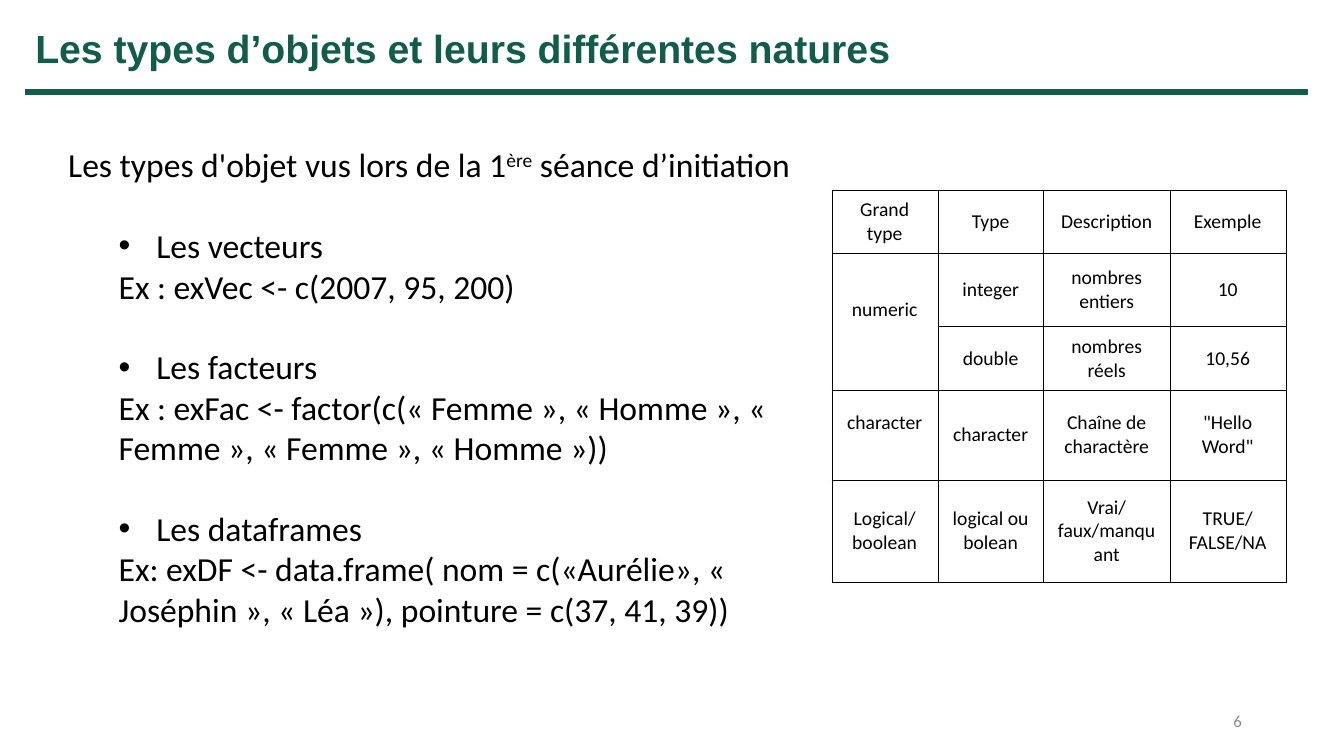
from lxml.etree import SubElement
from pptx import Presentation
from pptx.dml.color import RGBColor
from pptx.enum.shapes import MSO_SHAPE
from pptx.enum.text import MSO_ANCHOR as Anchor, PP_ALIGN as Align
from pptx.oxml.ns import qn
from pptx.util import Cm, Pt

COLORS = {"green": "125D4A", "black": "000000", "grey": "8C8C8C"}

TITLE = "Les types d’objets et leurs différentes natures"
PAGE_NUMBER = "6"
INTRO = [("Les types d'objet vus lors de la 1", 0), ("ère", 30), (" séance d’initiation", 0)]
OBJECT_TYPES = [
    ("Les vecteurs", "Ex : exVec <- c(2007, 95, 200)"),
    ("Les facteurs",
     "Ex : exFac <- factor(c(« Femme », « Homme », « Femme », « Femme », « Homme »))"),
    ("Les dataframes",
     "Ex: exDF <- data.frame( nom = c(«Aurélie», « Joséphin », « Léa »), "
     "pointure = c(37, 41, 39))"),
]
NATURES = [
    ("Grand type", "Type", "Description", "Exemple"),
    ("numeric", "integer", "nombres entiers", "10"),
    ("", "double", "nombres réels", "10,56"),
    ("character", "character", "Chaîne de charactère", '"Hello Word"'),
    ("Logical/boolean", "logical ou bolean", "Vrai/ faux/manquant", "TRUE/FALSE/NA"),
]
COLUMN_WIDTHS = [2.67, 2.67, 3.18, 2.92]
ROW_HEIGHTS = [1.6, 1.85, 1.6, 2.26, 2.59]
RAISED_LABELS = [(1, 0), (3, 0)]

BLANK_LINE = Pt(29)
TEXT_INDENT = Cm(1.27)
BULLET_HANG = Cm(0.95)


def add_run(paragraph, text, size, color="black", font="Calibri", bold=False):
    run = paragraph.add_run()
    run.text = text
    run.font.size = Pt(size)
    run.font.name = font
    run.font.bold = bold
    run.font.color.rgb = RGBColor.from_string(COLORS[color])
    return run


def add_text_frame(slide, left, top, width, height, wrap=True):
    frame = slide.shapes.add_textbox(Cm(left), Cm(top), Cm(width), Cm(height)).text_frame
    frame.word_wrap = wrap
    return frame


def add_indented(frame, text, bullet=False):
    paragraph = frame.add_paragraph()
    paragraph.level = 1
    hang = BULLET_HANG if bullet else 0
    properties = paragraph._p.get_or_add_pPr()
    properties.set("marL", str(TEXT_INDENT + hang))
    properties.set("indent", str(-hang))
    if bullet:
        SubElement(properties, qn("a:buFont"), typeface="Arial")
        SubElement(properties, qn("a:buChar"), char="•")
        paragraph.space_before = BLANK_LINE
    add_run(paragraph, text, 24)


def add_borders(cell):
    properties = cell._tc.get_or_add_tcPr()
    for side in ("lnL", "lnR", "lnT", "lnB"):
        border = SubElement(properties, qn(f"a:{side}"), w=str(Pt(0.25)))
        fill = SubElement(border, qn("a:solidFill"))
        SubElement(fill, qn("a:srgbClr"), val=COLORS["black"])


def add_header(slide):
    title = add_text_frame(slide, 0.64, 0.48, 22.61, 1.45, wrap=False)
    add_run(title.paragraphs[0], TITLE, 28, "green", "Arial", bold=True)

    rule = slide.shapes.add_shape(
        MSO_SHAPE.RECTANGLE, Cm(0.66), Cm(2.26), Cm(32.28), Cm(0.13))
    rule.shadow.inherit = False
    green = RGBColor.from_string(COLORS["green"])
    rule.fill.solid()
    rule.fill.fore_color.rgb = green
    rule.line.color.rgb = green
    rule.line.width = Pt(1)


def add_object_types(slide):
    body = add_text_frame(slide, 1.47, 3.51, 18.72, 13.59)
    for text, baseline in INTRO:
        run = add_run(body.paragraphs[0], text, 24)
        if baseline:
            run._r.get_or_add_rPr().set("baseline", str(baseline * 1000))
    for name, example in OBJECT_TYPES:
        add_indented(body, name, bullet=True)
        add_indented(body, example)


def add_natures(slide):
    table = slide.shapes.add_table(
        len(NATURES), len(COLUMN_WIDTHS), Cm(20.96), Cm(4.78),
        Cm(sum(COLUMN_WIDTHS)), Cm(sum(ROW_HEIGHTS))).table
    table.first_row = table.horz_banding = False
    for column, width in zip(table.columns, COLUMN_WIDTHS):
        column.width = Cm(width)
    for row, height in zip(table.rows, ROW_HEIGHTS):
        row.height = Cm(height)
    for r, labels in enumerate(NATURES):
        for c, label in enumerate(labels):
            cell = table.cell(r, c)
            add_borders(cell)
            cell.fill.background()
            cell.vertical_anchor = Anchor.MIDDLE
            if (r, c) in RAISED_LABELS:
                cell.margin_bottom = Cm(0.75)
            if label:
                paragraph = cell.text_frame.paragraphs[0]
                paragraph.alignment = Align.CENTER
                add_run(paragraph, label, 14)
    table.cell(1, 0).merge(table.cell(2, 0))


def add_page_number(slide):
    footer = add_text_frame(slide, 23.93, 17.65, 7.62, 1.02)
    footer.vertical_anchor = Anchor.MIDDLE
    footer.paragraphs[0].alignment = Align.RIGHT
    add_run(footer.paragraphs[0], PAGE_NUMBER, 12, "grey")


def main():
    deck = Presentation()
    deck.slide_width, deck.slide_height = Cm(33.87), Cm(19.05)
    slide = deck.slides.add_slide(deck.slide_layouts[6])
    add_page_number(slide)
    add_header(slide)
    add_object_types(slide)
    add_natures(slide)
    deck.save("out.pptx")


if __name__ == "__main__":
    main()
